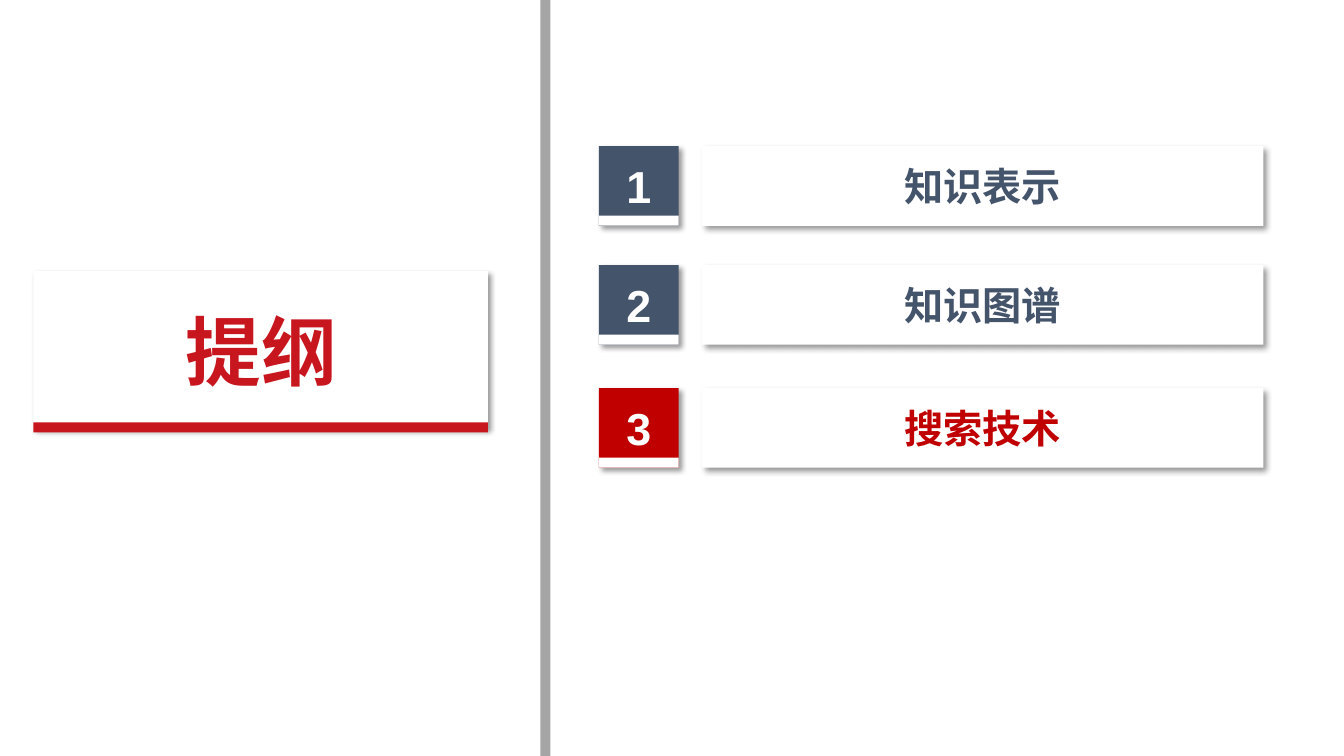
"""Build the outline slide with its title card and three numbered topics."""
from lxml.etree import SubElement
from pptx import Presentation
from pptx.dml.color import RGBColor
from pptx.enum.shapes import MSO_SHAPE
from pptx.enum.text import MSO_ANCHOR, PP_ALIGN
from pptx.oxml.ns import qn
from pptx.util import Inches, Pt

WHITE = RGBColor(0xFF, 0xFF, 0xFF)
GREY = RGBColor(0xA5, 0xA5, 0xA5)
SLATE = RGBColor(0x44, 0x54, 0x6A)
CRIMSON = RGBColor(0xC8, 0x16, 0x1E)
DARK_RED = RGBColor(0xC0, 0x00, 0x00)

TILE = 0.79
STRIP = 0.1
TILE_LEFT = 5.94
TOPIC_LEFT = 6.96


def add_block(shapes, left, top, width, height, color, shadow=False):
    block = shapes.add_shape(MSO_SHAPE.RECTANGLE, Inches(left), Inches(top),
                             Inches(width), Inches(height))
    block.fill.solid()
    block.fill.fore_color.rgb = color
    block.line.fill.background()
    block.shadow.inherit = False
    if shadow:
        effects = block.element.spPr.find(qn("a:effectLst"))
        outer = SubElement(effects, qn("a:outerShdw"), blurRad=str(Pt(4)), dist=str(Pt(3)),
                           dir="2700000", algn="tl", rotWithShape="0")
        black = SubElement(outer, qn("a:srgbClr"), val="000000")
        SubElement(black, qn("a:alpha"), val="40000")
    return block


def write(shape, text, size, color):
    frame = shape.text_frame
    frame.word_wrap = True
    frame.vertical_anchor = MSO_ANCHOR.MIDDLE
    paragraph = frame.paragraphs[0]
    paragraph.alignment = PP_ALIGN.CENTER
    run = paragraph.add_run()
    run.text = text
    run.font.name = "Arial"
    run.font.size = Pt(size)
    run.font.bold = True
    run.font.color.rgb = color


prs = Presentation()
prs.slide_width = Inches(13.33)
prs.slide_height = Inches(7.5)
slide = prs.slides.add_slide(prs.slide_layouts[6])

add_block(slide.shapes, 0.33, 2.69, 4.51, 1.57, WHITE, shadow=True)
add_block(slide.shapes, 0.33, 4.19, 4.51, STRIP, CRIMSON)
add_block(slide.shapes, 5.36, 0, STRIP, 7.5, GREY)

heading = slide.shapes.add_textbox(Inches(0.81), Inches(2.97), Inches(3.56), Inches(1.01))
write(heading, "提纲", 54, CRIMSON)

topics = [
    ("知识表示", 1.45, SLATE),
    ("知识图谱", 2.63, SLATE),
    ("搜索技术", 3.85, DARK_RED),
]
for number, (topic, top, color) in enumerate(topics, start=1):
    badge = slide.shapes.add_group_shape()
    tile = add_block(badge.shapes, TILE_LEFT, top, TILE, TILE, color, shadow=True)
    write(tile, str(number), 32, WHITE)
    add_block(badge.shapes, TILE_LEFT, top + TILE - STRIP, TILE, STRIP, WHITE)

    card = add_block(slide.shapes, TOPIC_LEFT, top, 5.57, TILE, WHITE, shadow=True)
    write(card, topic, 28, color)

prs.save("out.pptx")
